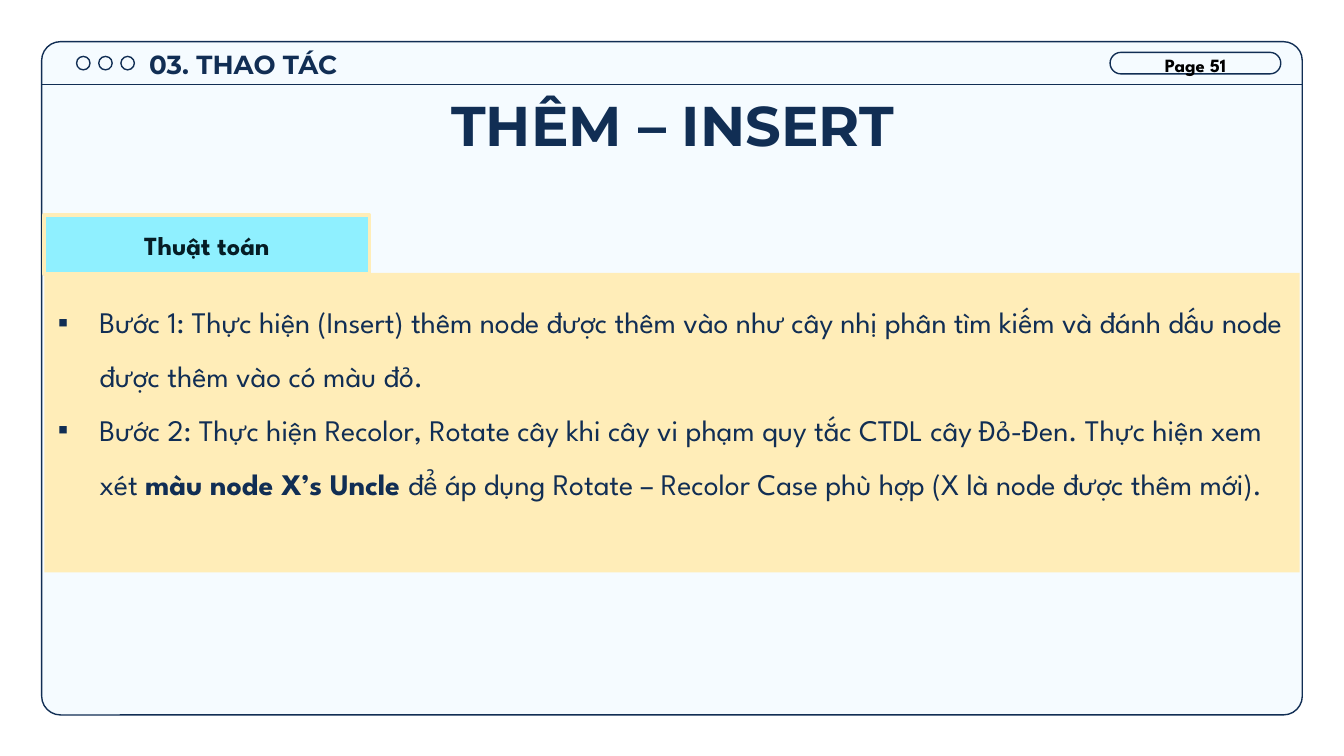
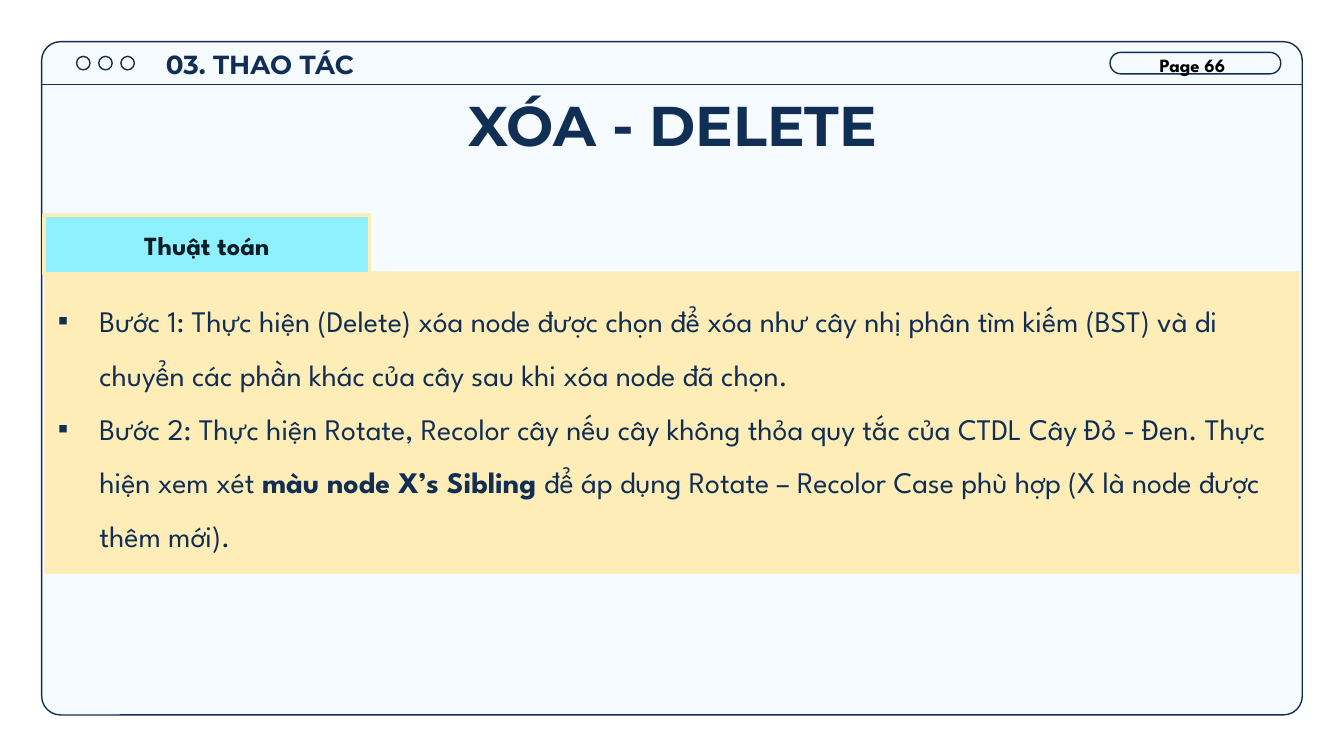
from lxml.etree import SubElement
from pptx import Presentation
from pptx.dml.color import RGBColor
from pptx.enum.shapes import MSO_CONNECTOR, MSO_SHAPE
from pptx.enum.text import MSO_ANCHOR, MSO_AUTO_SIZE, PP_ALIGN
from pptx.oxml.ns import qn
from pptx.util import Inches, Pt

NAVY = RGBColor(0x11, 0x2E, 0x54)
PALE_BLUE = RGBColor(0xF5, 0xFB, 0xFF)
CREAM = RGBColor(0xFF, 0xED, 0xB8)
CYAN = RGBColor(0x8F, 0xF0, 0xFF)
INK = RGBColor(0x05, 0x1D, 0x25)
BLACK = RGBColor(0, 0, 0)
HEADING_FONT = "Montserrat"
BODY_FONT = "League Spartan"

# Slide proportions are 16:9
SLIDE_WIDTH = Inches(10)
SLIDE_HEIGHT = SLIDE_WIDTH * 9 // 16

# Frame edges shared by every slide
FRAME_LEFT, FRAME_TOP, FRAME_WIDTH, FRAME_HEIGHT = 0.31, 0.31, 9.38, 5.01
HEADER_BOTTOM = 0.63
PANEL_LEFT, PANEL_WIDTH = 0.33, 9.34

# Section and page are (left, width); the panel is (top, height).
# Each step is a list of (text, bold) pieces.
OPERATIONS = [
    {
        "title": "THÊM – INSERT",
        "section": (0.97, 1.68),
        "page": ("Page 51", 8.57, 0.73),
        "panel": (2.03, 2.23),
        "steps": [
            [("Bước 1: Thực hiện (Insert) thêm node được thêm vào như cây nhị phân "
              "tìm kiếm và đánh dấu node được thêm vào có màu đỏ.", False)],
            [("Bước 2: Thực hiện Recolor, Rotate cây khi cây vi phạm quy tắc CTDL "
              "cây Đỏ-Đen. Thực hiện xem xét ", False),
             ("màu node X’s Uncle ", True),
             ("để áp dụng Rotate – Recolor Case phù hợp "
              "(X là node được thêm mới).", False)],
        ],
    },
    {
        "title": "XÓA - DELETE",
        "section": (1.07, 1.73),
        "page": ("Page 66", 8.53, 0.75),
        "panel": (2.02, 2.25),
        "steps": [
            [("Bước 1: Thực hiện (Delete) xóa node được chọn để xóa như cây nhị phân "
              "tìm kiếm (BST) và di chuyển các phần khác của cây sau khi xóa node "
              "đã chọn.", False)],
            [("Bước 2: Thực hiện Rotate, Recolor cây nếu cây không thỏa quy tắc của "
              "CTDL Cây Đỏ - Đen. Thực hiện xem xét ", False),
             ("màu node X’s Sibling ", True),
             ("để áp dụng Rotate – Recolor Case phù hợp "
              "(X là node được thêm mới).", False)],
        ],
    },
]


def place(shape, left, top, width, height):
    shape.left, shape.top = Inches(left), Inches(top)
    shape.width, shape.height = Inches(width), Inches(height)


def style_run(run, font_name, size, color, bold):
    run.font.name = font_name
    run.font.size = Pt(size)
    run.font.color.rgb = color
    run.font.bold = bold


def prepare_frame(text_frame, anchor=MSO_ANCHOR.TOP, inset=0.1):
    text_frame.word_wrap = True
    text_frame.auto_size = MSO_AUTO_SIZE.NONE
    text_frame.vertical_anchor = anchor
    text_frame.margin_left = text_frame.margin_right = Inches(0.1)
    text_frame.margin_top = text_frame.margin_bottom = Inches(inset)


def write_line(text_frame, text, font_name, size, color, align=PP_ALIGN.CENTER):
    text_frame.text = text
    paragraph = text_frame.paragraphs[0]
    paragraph.alignment = align
    style_run(paragraph.runs[0], font_name, size, color, True)


def add_outlined(slide, preset, box, fill=None, line=NAVY, line_width=0.75):
    shape = slide.shapes.add_shape(preset, *map(Inches, box))
    shape.shadow.inherit = False
    if fill is None:
        shape.fill.background()
    else:
        shape.fill.solid()
        shape.fill.fore_color.rgb = fill
    shape.line.color.rgb = line
    shape.line.width = Pt(line_width)
    return shape


def add_label(slide, box, text, font_name, size, color, align, inset):
    label = slide.shapes.add_textbox(*map(Inches, box))
    prepare_frame(label.text_frame, inset=inset)
    write_line(label.text_frame, text, font_name, size, color, align)
    return label


def add_window_frame(slide, layout):
    """Draw the window frame once and move it to the layout."""
    window = add_outlined(slide, MSO_SHAPE.ROUNDED_RECTANGLE,
                          (FRAME_LEFT, FRAME_TOP, FRAME_WIDTH, FRAME_HEIGHT), PALE_BLUE)
    window.adjustments[0] = 0.028
    buttons = [add_outlined(slide, MSO_SHAPE.OVAL, (0.57 + i * 0.165, 0.42, 0.1, 0.1))
               for i in range(3)]
    page_pill = add_outlined(slide, MSO_SHAPE.ROUNDED_RECTANGLE, (8.26, 0.39, 1.27, 0.16))
    page_pill.adjustments[0] = 0.5
    header_rule = slide.shapes.add_connector(
        MSO_CONNECTOR.STRAIGHT, Inches(FRAME_LEFT), Inches(HEADER_BOTTOM),
        Inches(FRAME_LEFT + FRAME_WIDTH), Inches(HEADER_BOTTOM))
    header_rule.line.color.rgb = NAVY
    header_rule.line.width = Pt(0.75)
    SubElement(header_rule._element.spPr, qn("a:effectLst"))

    # The layout's date, footer and number placeholders make way for the frame
    for placeholder in list(layout.placeholders)[2:]:
        placeholder._element.getparent().remove(placeholder._element)
    for part in [window, *buttons, page_pill, header_rule]:
        layout.shapes._spTree.append(part._element)


def set_bullet(paragraph):
    properties = paragraph._p.get_or_add_pPr()
    properties.set("marL", str(Inches(0.31)))
    properties.set("indent", str(-Inches(0.31)))
    bullet_color = SubElement(properties, qn("a:buClr"))
    SubElement(bullet_color, qn("a:srgbClr")).set("val", str(NAVY))
    SubElement(properties, qn("a:buChar")).set("char", "▪")


def fill_title(slide, text):
    title = slide.shapes.title
    place(title, 0.79, 0.57, 8.43, 0.63)
    prepare_frame(title.text_frame)
    write_line(title.text_frame, text, HEADING_FONT, 30, NAVY)


def fill_steps(slide, top, height, steps):
    panel = slide.placeholders[1]
    place(panel, PANEL_LEFT, top, PANEL_WIDTH, height)
    panel.fill.solid()
    panel.fill.fore_color.rgb = CREAM
    text_frame = panel.text_frame
    prepare_frame(text_frame)
    for i, pieces in enumerate(steps):
        paragraph = text_frame.add_paragraph() if i else text_frame.paragraphs[0]
        set_bullet(paragraph)
        paragraph.alignment = PP_ALIGN.LEFT
        paragraph.line_spacing = 1.5
        paragraph.space_before = paragraph.space_after = Pt(0)
        for text, bold in pieces:
            run = paragraph.add_run()
            run.text = text
            style_run(run, BODY_FONT, 16, NAVY, bold)


def add_algorithm_tab(slide):
    tab = add_outlined(slide, MSO_SHAPE.RECTANGLE, (PANEL_LEFT, 1.6, 2.42, 0.44),
                       CYAN, CREAM, 2)
    prepare_frame(tab.text_frame, MSO_ANCHOR.MIDDLE, 0.05)
    write_line(tab.text_frame, "Thuật toán", BODY_FONT, 14, INK)


def fill_operation(slide, operation):
    fill_title(slide, operation["title"])
    fill_steps(slide, *operation["panel"], operation["steps"])
    section_left, section_width = operation["section"]
    add_label(slide, (section_left, 0.26, section_width, 0.46), "03. THAO TÁC",
              HEADING_FONT, 14, NAVY, PP_ALIGN.CENTER, 0.1)
    page, page_left, page_width = operation["page"]
    page_label = add_label(slide, (page_left, 0.35, page_width, 0.27), page,
                           BODY_FONT, 10, BLACK, PP_ALIGN.LEFT, 0.05)
    page_label.text_frame.auto_size = MSO_AUTO_SIZE.SHAPE_TO_FIT_TEXT
    add_algorithm_tab(slide)


def main():
    deck = Presentation()
    deck.slide_width, deck.slide_height = SLIDE_WIDTH, SLIDE_HEIGHT
    layout = deck.slide_layouts[1]
    slides = [deck.slides.add_slide(layout) for _ in OPERATIONS]
    add_window_frame(slides[0], layout)
    for slide, operation in zip(slides, OPERATIONS):
        fill_operation(slide, operation)
    deck.save("out.pptx")


if __name__ == "__main__":
    main()
